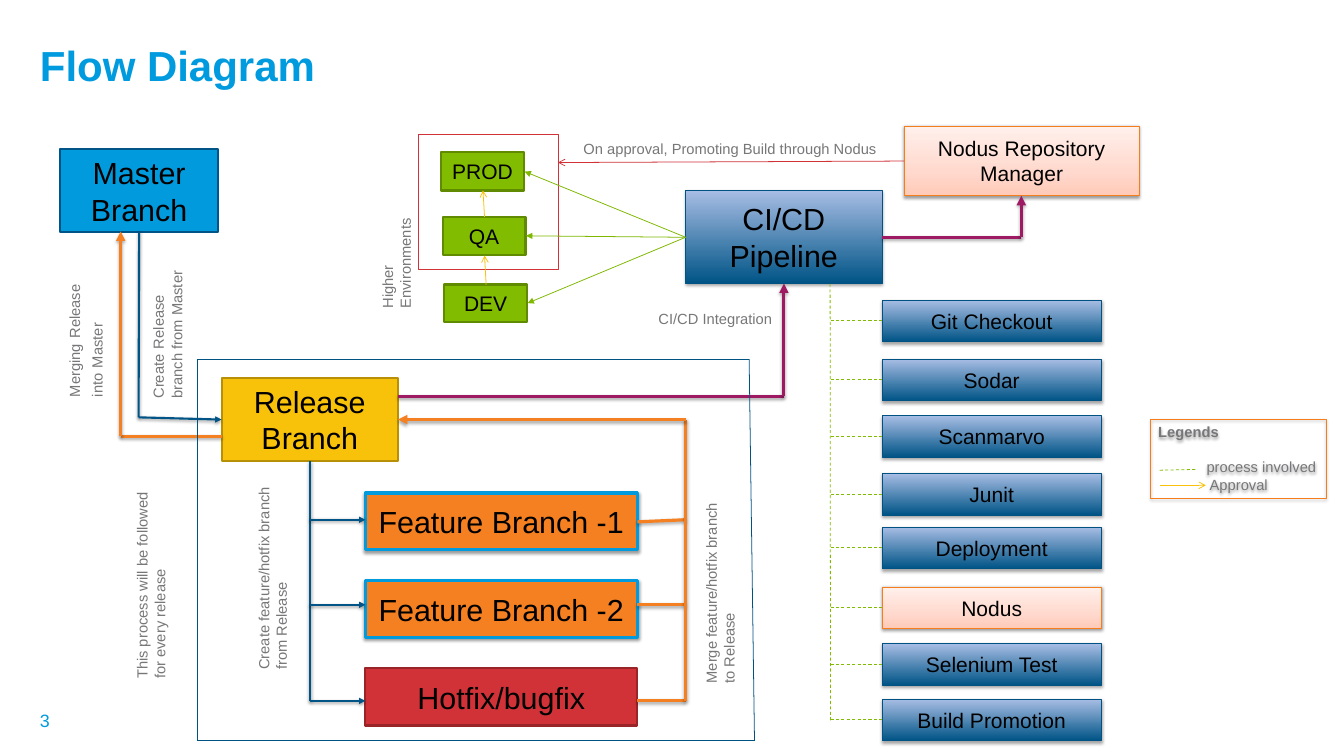
import itertools
from dataclasses import dataclass
from typing import Optional

import lxml.etree
import pptx
import pptx.dml.color
import pptx.enum.dml
import pptx.enum.shapes
import pptx.enum.text
import pptx.oxml.ns
import pptx.util

Pt = pptx.util.Pt
qn = pptx.oxml.ns.qn
PP_ALIGN = pptx.enum.text.PP_ALIGN
ANCHOR = pptx.enum.text.MSO_ANCHOR

COLORS = {
    "title": "009BDE", "sky": "009ADD", "navy": "005486", "edge": "005283",
    "gold": "F9C20A", "gold_edge": "B89007", "orange": "F58021",
    "peach_edge": "F57D1B", "red": "D03238", "red_edge": "9A2529",
    "green": "82BC00", "green_edge": "608B00", "green_link": "7FB800",
    "plum": "9E1B64", "grey": "777779", "black": "000000",
    "blue_light": "A7BDE4", "peach": "FFCAB8", "peach_mid": "FFD9CD",
    "peach_light": "FFF0EC",
}
GRADIENTS = {
    "blue": ((0, "navy"), (100, "blue_light")),
    "peach": ((0, "peach"), (35, "peach_mid"), (100, "peach_light")),
}


@dataclass(frozen=True)
class Shadow:
    alpha: int
    distance: float
    blur: float = 3.1


SOFT = Shadow(38, 1.6)
DEEP = Shadow(35, 1.8)


@dataclass(frozen=True)
class Box:
    text: str
    at: tuple
    fill: Optional[str]
    edge: str
    edge_width: float = 2
    size: float = 29
    shadow: Optional[Shadow] = None


@dataclass(frozen=True)
class Route:
    points: tuple
    color: str
    width: float = 0.75
    head: Optional[str] = None
    dashed: bool = False
    shadow: Optional[Shadow] = None


@dataclass(frozen=True)
class Label:
    text: str
    at: tuple
    upward: bool = True
    wide_spaces: int = 0


def rgb(name: str) -> pptx.dml.color.RGBColor:
    return pptx.dml.color.RGBColor.from_string(COLORS[name])


def write_text(paragraph, text: str, *, size: float, color: str, bold: bool = False,
               align=PP_ALIGN.LEFT, indent: float = 0, before: float = 0,
               wide_spaces: int = 0) -> None:
    paragraph.alignment = align
    paragraph.space_before = Pt(before)
    if indent:
        paragraph._p.get_or_add_pPr().set("marL", str(Pt(indent)))
    pieces = [(text, size)]
    if wide_spaces:
        pieces = [(word, size) for word in text.split(" ", wide_spaces)]
        pieces = [piece for word in pieces for piece in ((" ", 18), word)][1:]
    for piece, piece_size in pieces:
        run = paragraph.add_run()
        run.text = piece
        run.font.name = "Arial"
        run.font.size = Pt(piece_size)
        run.font.bold = bold
        run.font.color.rgb = rgb(color)


def cast_shadow(effects, shadow: Optional[Shadow]) -> None:
    if shadow is None:
        return
    outer = lxml.etree.SubElement(
        effects, qn("a:outerShdw"), blurRad=str(Pt(shadow.blur)),
        dist=str(Pt(shadow.distance)), dir="5400000", rotWithShape="0")
    tint = lxml.etree.SubElement(outer, qn("a:srgbClr"), val=COLORS["black"])
    lxml.etree.SubElement(tint, qn("a:alpha"), val=str(shadow.alpha * 1000))


def fill_gradient(fill, stops: tuple, sp_pr) -> None:
    fill.gradient()
    fill.gradient_angle = 90
    stop_list = sp_pr.find(qn("a:gradFill")).find(qn("a:gsLst"))
    for stop in list(stop_list):
        stop_list.remove(stop)
    for position, color in stops:
        stop = lxml.etree.SubElement(stop_list, qn("a:gs"), pos=str(position * 1000))
        lxml.etree.SubElement(stop, qn("a:srgbClr"), val=COLORS[color])


def draw_box(slide, box: Box):
    rectangle = slide.shapes.add_shape(
        pptx.enum.shapes.MSO_SHAPE.RECTANGLE, *map(Pt, box.at))
    sp_pr = rectangle._element.spPr
    if box.fill in GRADIENTS:
        fill_gradient(rectangle.fill, GRADIENTS[box.fill], sp_pr)
    elif box.fill:
        rectangle.fill.solid()
        rectangle.fill.fore_color.rgb = rgb(box.fill)
    else:
        rectangle.fill.background()
    rectangle.line.color.rgb = rgb(box.edge)
    rectangle.line.width = Pt(box.edge_width)
    rectangle.shadow.inherit = False
    cast_shadow(sp_pr.find(qn("a:effectLst")), box.shadow)
    if box.text:
        frame = rectangle.text_frame
        frame.word_wrap = True
        frame.vertical_anchor = ANCHOR.MIDDLE
        write_text(frame.paragraphs[0], box.text, size=box.size, color="black",
                   align=PP_ALIGN.CENTER)
    return rectangle


def draw_route(slide, route: Route) -> None:
    for start, end in itertools.pairwise(route.points):
        link = slide.shapes.add_connector(
            pptx.enum.shapes.MSO_CONNECTOR.STRAIGHT, *map(Pt, start + end))
        link.line.color.rgb = rgb(route.color)
        link.line.width = Pt(route.width)
        if route.dashed:
            link.line.dash_style = pptx.enum.dml.MSO_LINE.DASH
        if route.head and end == route.points[-1]:
            lxml.etree.SubElement(link.line._get_or_add_ln(), qn("a:tailEnd"),
                                  type=route.head)
        effects = lxml.etree.SubElement(link._element.spPr, qn("a:effectLst"))
        cast_shadow(effects, route.shadow)


def draw_label(slide, label: Label) -> None:
    frame = slide.shapes.add_textbox(*map(Pt, label.at)).text_frame
    frame.word_wrap = True
    frame.auto_size = pptx.enum.text.MSO_AUTO_SIZE.SHAPE_TO_FIT_TEXT
    if label.upward:
        frame._txBody.bodyPr.set("vert", "vert270")
    write_text(frame.paragraphs[0], label.text, size=14, color="grey",
               wide_spaces=label.wide_spaces)


def draw_heading(frame, text: str, size: float, color: str, bold: bool) -> None:
    frame.word_wrap = True
    frame.vertical_anchor = ANCHOR.MIDDLE
    frame.margin_left = frame.margin_right = Pt(13)
    frame.margin_top = frame.margin_bottom = Pt(6.5)
    write_text(frame.paragraphs[0], text, size=size, color=color, bold=bold)


def draw_legend(slide) -> None:
    frame = draw_box(slide, Box("", (1096, 399.6, 167, 75), None, "peach_edge", 0.75,
                                shadow=SOFT)).text_frame
    frame.word_wrap = True
    frame.vertical_anchor = ANCHOR.TOP
    write_text(frame.paragraphs[0], "Legends", size=14, color="grey", bold=True)
    write_text(frame.add_paragraph(), "process involved", size=14, color="grey",
               indent=46, before=16)
    write_text(frame.add_paragraph(), "Approval", size=14, color="grey", indent=49)
    draw_route(slide, Route(((1104.5, 447.8), (1139.8, 447.1)), "green", dashed=True))
    draw_route(slide, Route(((1104.5, 462.2), (1148.4, 462.2)), "gold", head="arrow"))


STAGES = {"Git Checkout": 286, "Sodar": 342, "Scanmarvo": 396, "Junit": 451,
          "Deployment": 502, "Nodus": 559, "Selenium Test": 613,
          "Build Promotion": 666}
BRANCH_ROWS = (495, 576, 667.5)

BOXES = [
    Box("Master Branch", (57, 142, 151, 79), "sky", "navy"),
    Box("Release Branch", (211, 360, 168, 79), "gold", "gold_edge"),
    Box("Feature Branch -1", (348, 469.5, 259, 54), "orange", "sky", 3, shadow=SOFT),
    Box("Feature Branch -2", (348, 553, 259, 54), "orange", "sky", 3, shadow=SOFT),
    Box("Hotfix/bugfix", (348, 636.5, 259, 54.5), "red", "red_edge"),
    Box("CI/CD Pipeline", (653, 181.4, 187, 88.6), "blue", "edge", 0.75, shadow=DEEP),
    Box("PROD", (420, 145, 79, 36.5), "green", "green_edge", size=20),
    Box("QA", (421.5, 206.6, 79, 36.5), "green", "green_edge", size=20),
    Box("DEV", (423, 271, 79, 36), "green", "green_edge", size=20),
    Box("Nodus Repository Manager", (861, 120, 224, 66.5), "peach", "peach_edge",
        0.75, 20, SOFT),
    Box("", (398, 128, 134, 129), None, "red", 0.75),
]
for stage, top in STAGES.items():
    fill, edge, shadow = (("peach", "peach_edge", SOFT) if stage == "Nodus"
                          else ("blue", "edge", DEEP))
    BOXES.append(Box(stage, (840, top, 209, 39.5), fill, edge, 0.75, 20, shadow))

ROUTES = [
    Route(((132.5, 220.5), (132, 397.5), (211, 399.6)), "navy", 2, "triangle",
          shadow=SOFT),
    Route(((295, 439), (295, 667.5)), "navy", 2, shadow=SOFT),
    *(Route(((295, y), (348, y)), "navy", 2, "triangle", shadow=SOFT)
      for y in BRANCH_ROWS),
    Route(((607, 497), (653, 495)), "orange", 3, shadow=DEEP),
    *(Route(((607, y), (653, y)), "orange", 3, shadow=DEEP) for y in BRANCH_ROWS[1:]),
    Route(((653, 667.5), (653, 399.6), (379, 399.6)), "orange", 3, "triangle",
          shadow=DEEP),
    Route(((211, 415.4), (115, 415.4), (115, 220.5)), "orange", 3, "triangle",
          shadow=DEEP),
    Route(((379, 377.3), (746.6, 377.3), (746.6, 270)), "plum", 3, "triangle",
          shadow=DEEP),
    Route(((840, 226), (972.7, 226), (972.7, 186.5)), "plum", 3, "triangle",
          shadow=DEEP),
    *(Route(((653, 226), end), "green_link", head="triangle")
      for end in ((502.5, 288.7), (501, 224.6), (499.7, 163.4))),
    Route(((463, 271), (461.5, 243.4)), "gold", head="arrow"),
    Route(((461.5, 206.6), (460, 181.4)), "gold", head="arrow"),
    Route(((861, 153.4), (531.5, 154.8)), "red", head="arrow"),
    Route(((791, 686), (790.6, 270)), "green", dashed=True),
    *(Route(((791, top + 19.5), (840, top + 19.5)), "green", dashed=True)
      for top in STAGES.values()),
    Route(((188, 342), (713.5, 342), (718.6, 705.6), (188, 705.6), (188, 342)), "edge"),
]

LABELS = [
    Label("Merging Release into Master", (54.7, 242, 53.3, 143.3), wide_spaces=3),
    Label("Create Release branch from Master", (134.6, 243.4, 53.3, 143.3),
          wide_spaces=1),
    Label("Create feature/hotfix branch from Release", (239, 449.3, 48.2, 195.8)),
    Label("Merge feature/hotfix branch to Release", (665.3, 462.2, 48.2, 195.8)),
    Label("This process will be followed for every release",
          (123.1, 457.9, 48.2, 195.8)),
    Label("Higher Environments", (357, 160, 31.7, 141)),
    Label("CI/CD Integration", (620, 291.6, 128, 24.5), upward=False),
    Label("On approval, Promoting Build through Nodus", (548.6, 129.6, 312.5, 24.5),
          upward=False),
]


def main() -> None:
    deck = pptx.Presentation()
    deck.slide_width, deck.slide_height = Pt(1280), Pt(720)
    slide = deck.slides.add_slide(deck.slide_layouts[5])
    title = slide.shapes.title
    title.left, title.top, title.width, title.height = map(Pt, (25, 29, 1230, 66))
    draw_heading(title.text_frame, "Flow Diagram", 40, "title", True)
    page_number = slide.shapes.add_textbox(*map(Pt, (25, 667.5, 299, 38)))
    draw_heading(page_number.text_frame, "3", 17, "sky", False)
    for box in BOXES:
        draw_box(slide, box)
    for route in ROUTES:
        draw_route(slide, route)
    for label in LABELS:
        draw_label(slide, label)
    draw_legend(slide)
    deck.save("out.pptx")


if __name__ == "__main__":
    main()
